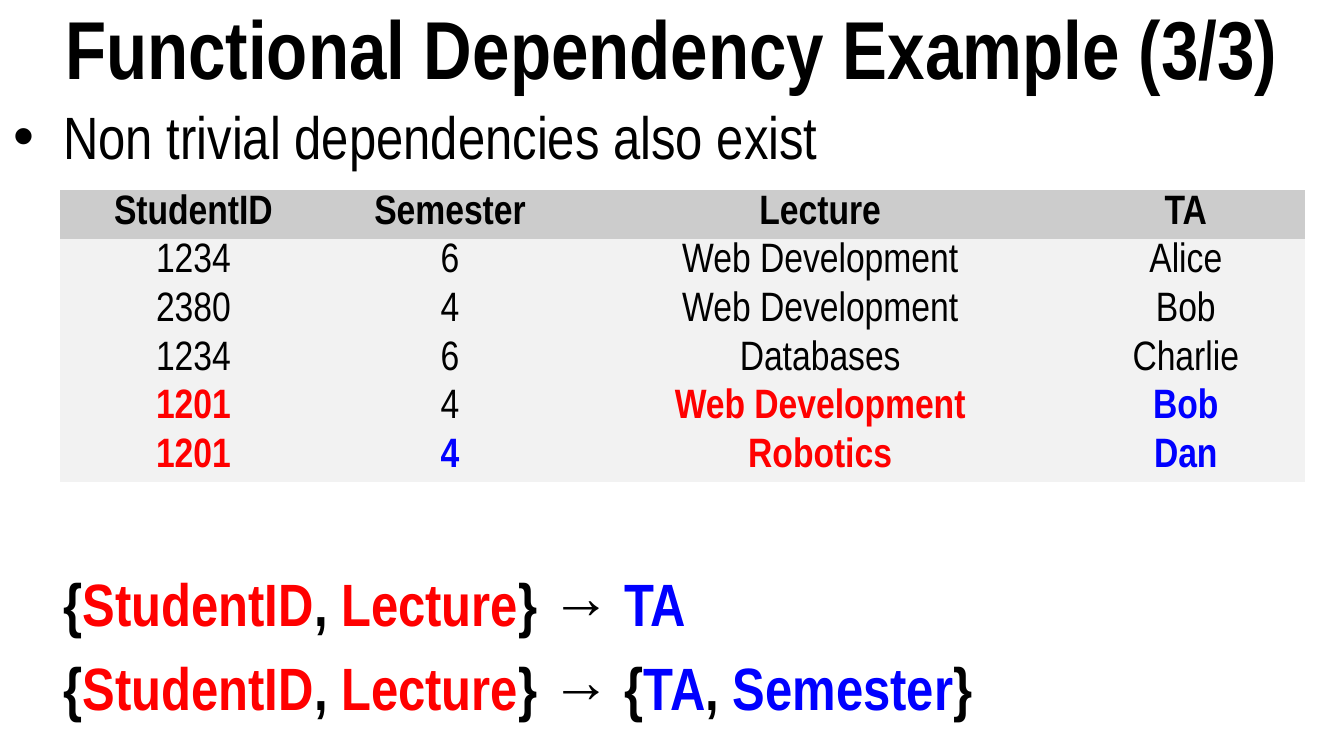
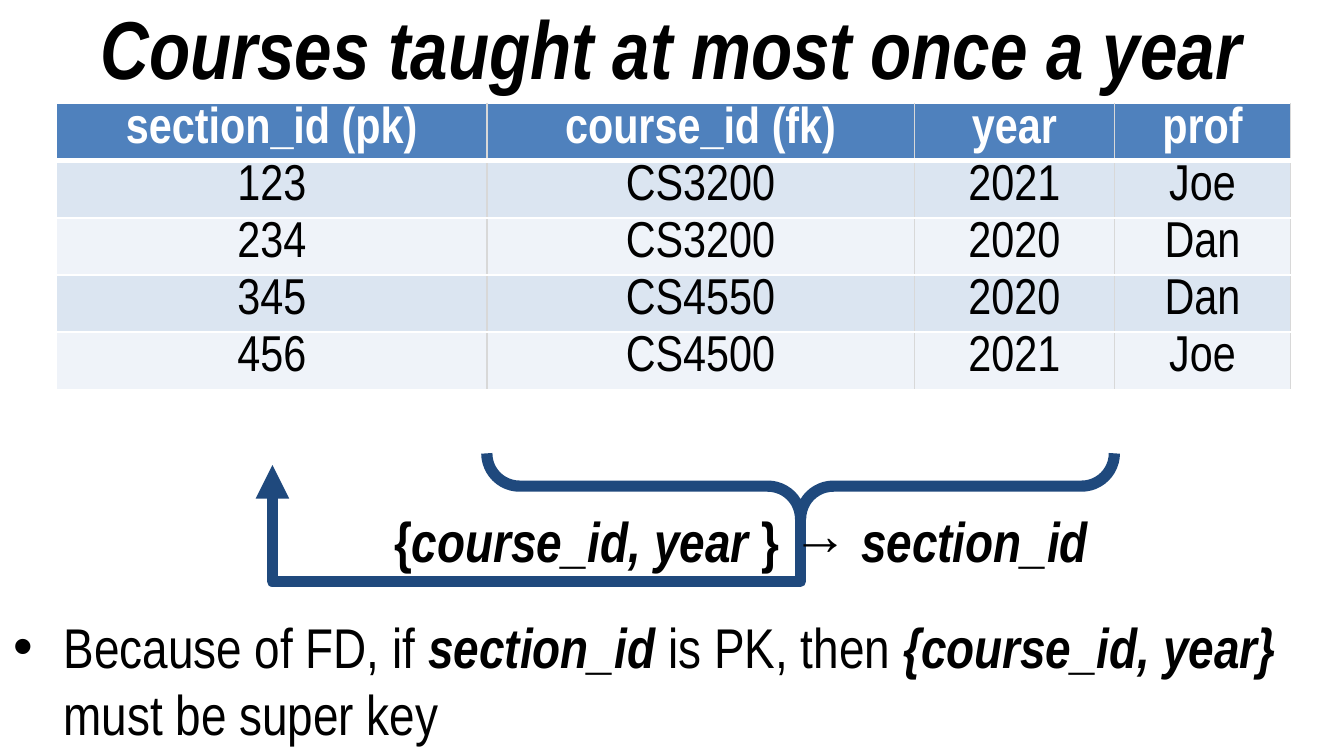
from dataclasses import dataclass

from lxml.etree import SubElement
from pptx import Presentation
from pptx.dml.color import RGBColor
from pptx.enum.shapes import MSO_CONNECTOR, MSO_SHAPE
from pptx.enum.text import MSO_ANCHOR, MSO_AUTO_SIZE, PP_ALIGN
from pptx.oxml.ns import qn
from pptx.util import Cm, Pt

FONT = "Arial Narrow"
BLACK = RGBColor(0x00, 0x00, 0x00)
WHITE = RGBColor(0xFF, 0xFF, 0xFF)
RED = RGBColor(0xFF, 0x00, 0x00)
BLUE = RGBColor(0x00, 0x00, 0xFF)
NAVY = RGBColor(0x1F, 0x49, 0x7D)
HEADER_BLUE = RGBColor(0x4F, 0x81, 0xBD)
BAND_DARK = RGBColor(0xDB, 0xE5, 0xF1)
BAND_LIGHT = RGBColor(0xEF, 0xF3, 0xF9)
HEADER_GREY = RGBColor(0xCC, 0xCC, 0xCC)
BODY_GREY = RGBColor(0xF2, 0xF2, 0xF2)
RULE_GREY = RGBColor(0xD8, 0xD8, 0xD8)

PLAIN_TABLE = "{2D5ABB26-0587-4C30-8999-92F81FD0307C}"
PAGE_WIDTH, PAGE_HEIGHT = 25.4, 14.29
TITLE_HEIGHT = 1.75
INDENT = 0.95
LINE_WIDTH = Pt(6)


@dataclass
class Span:
    text: str
    color: RGBColor = BLACK
    bold: bool = False
    italic: bool = False


@dataclass
class TableStyle:
    size: int
    row_height: float
    margin: float
    line_spacing: float
    anchor: MSO_ANCHOR
    header_color: RGBColor
    header_fill: RGBColor
    bands: tuple
    ruled: bool = False


GREY_TABLE = TableStyle(22, 0.92, 0.08, 0.8, MSO_ANCHOR.MIDDLE,
                        BLACK, HEADER_GREY, (BODY_GREY,))
BLUE_TABLE = TableStyle(27, 1.08, 0.1, 0.9, MSO_ANCHOR.TOP,
                        WHITE, HEADER_BLUE, (BAND_DARK, BAND_LIGHT), ruled=True)


def style_font(font, size, color=BLACK, bold=False, italic=False):
    font.name, font.size = FONT, Pt(size)
    font.bold, font.italic = bold, italic
    font.color.rgb = color


def add_border(cell, side, color, width):
    line = SubElement(cell._tc.get_or_add_tcPr(), qn(f"a:ln{side}"), w=str(Pt(width)))
    fill = SubElement(line, qn("a:solidFill"))
    SubElement(fill, qn("a:srgbClr"), val=str(color))


def rule_cell(cell, row, column):
    add_border(cell, "L", RULE_GREY if column else WHITE, 1)
    add_border(cell, "R", RULE_GREY, 1)
    add_border(cell, "T", WHITE, 3 if row == 1 else 1)
    add_border(cell, "B", WHITE, 1 if row else 3)


class Deck:
    def __init__(self):
        self.deck = Presentation()
        self.deck.slide_width = Cm(PAGE_WIDTH)
        self.deck.slide_height = Cm(PAGE_HEIGHT)
        self.page = None

    def add_page(self, title, italic=False):
        self.page = self.deck.slides.add_slide(self.deck.slide_layouts[5])
        box = self.page.shapes.title
        box.left, box.top = Cm(0), Cm(0)
        box.width, box.height = Cm(PAGE_WIDTH), Cm(TITLE_HEIGHT)
        frame = box.text_frame
        frame.text = title
        frame.auto_size = MSO_AUTO_SIZE.NONE
        frame.vertical_anchor = MSO_ANCHOR.MIDDLE
        para = frame.paragraphs[0]
        para.alignment = PP_ALIGN.CENTER
        style_font(para.font, 44, bold=True, italic=italic)

    def add_text(self, left, top, width, height, margin=0.13):
        box = self.page.shapes.add_textbox(Cm(left), Cm(top), Cm(width), Cm(height))
        frame = box.text_frame
        frame.word_wrap = True
        frame.margin_top = frame.margin_bottom = Cm(margin)
        return frame

    def add_paragraph(self, frame, spans, size, before=0, indent=0, bullet=False):
        first = frame.paragraphs[0]
        para = frame.add_paragraph() if first.runs else first
        para.space_before = Pt(before)
        properties = para._p.get_or_add_pPr()
        properties.set("marL", str(Cm(indent)))
        properties.set("indent", str(-Cm(indent) if bullet else 0))
        if bullet:
            SubElement(properties, qn("a:buFont"), typeface="Arial")
            SubElement(properties, qn("a:buChar"), char="•")
        for span in spans:
            run = para.add_run()
            run.text = span.text
            style_font(run.font, size, span.color, span.bold, span.italic)

    def add_table(self, left, top, widths, rows, style, marks=None):
        """Draw rows under a header; marks maps (row, column) to a bold text colour."""
        marks = marks or {}
        table = self.page.shapes.add_table(
            len(rows), len(widths), Cm(left), Cm(top),
            Cm(sum(widths)), Cm(style.row_height * len(rows))).table
        table._tbl.tblPr.find(qn("a:tableStyleId")).text = PLAIN_TABLE
        for column, width in zip(table.columns, widths):
            column.width = Cm(width)
        for i, values in enumerate(rows):
            table.rows[i].height = Cm(style.row_height)
            for j, value in enumerate(values):
                cell = table.cell(i, j)
                cell.text = value
                cell.vertical_anchor = style.anchor
                cell.margin_top = cell.margin_bottom = Cm(style.margin)
                if style.ruled:
                    rule_cell(cell, i, j)
                cell.fill.solid()
                cell.fill.fore_color.rgb = (
                    style.bands[(i - 1) % len(style.bands)] if i else style.header_fill)
                para = cell.text_frame.paragraphs[0]
                para.alignment = PP_ALIGN.CENTER
                para.line_spacing = style.line_spacing
                color = marks.get((i, j), BLACK) if i else style.header_color
                style_font(para.font, style.size, color, i == 0 or (i, j) in marks)

    def add_brace_below(self, left, top, width, height):
        """Turn a right brace so that its point faces down in the given area."""
        brace = self.page.shapes.add_shape(
            MSO_SHAPE.RIGHT_BRACE, Cm(left + (width - height) / 2),
            Cm(top + (height - width) / 2), Cm(height), Cm(width))
        brace.rotation = 90
        brace.adjustments[0] = brace.adjustments[1] = 0.5
        brace.shadow.inherit = False
        brace.fill.background()
        brace.line.color.rgb, brace.line.width = NAVY, LINE_WIDTH

    def add_return_arrow(self, start, end, drop):
        """Go down by drop from start, left, and up to an arrowhead at end."""
        across, rise = start[0] - end[0], start[1] - end[1]
        middle_x, middle_y = (start[0] + end[0]) / 2, (start[1] + end[1]) / 2
        arrow = self.page.shapes.add_connector(
            MSO_CONNECTOR.ELBOW,
            Cm(middle_x + rise / 2), Cm(middle_y - across / 2),
            Cm(middle_x - rise / 2), Cm(middle_y + across / 2))
        arrow.line.color.rgb, arrow.line.width = NAVY, LINE_WIDTH
        properties = arrow._element.spPr
        properties.find(qn("a:xfrm")).set("rot", str(90 * 60000))
        guides = properties.find(qn("a:prstGeom")).get_or_add_avLst()
        SubElement(guides, qn("a:gd"), name="adj1",
                   fmla=f"val {round(-drop / rise * 100000)}")
        line = properties.find(qn("a:ln"))
        SubElement(line, qn("a:round"))
        SubElement(line, qn("a:tailEnd"), type="triangle")
        SubElement(properties, qn("a:effectLst"))


def add_dependency_page(deck):
    deck.add_page("Functional Dependency Example (3/3)")
    body = deck.add_text(0, TITLE_HEIGHT, PAGE_WIDTH, PAGE_HEIGHT - TITLE_HEIGHT)
    deck.add_paragraph(body, [Span("Non trivial dependencies also exist")], 32,
                       indent=INDENT, bullet=True)
    key = [Span("{", bold=True), Span("StudentID", RED, True), Span(", ", bold=True),
           Span("Lecture", RED, True)]
    assistant = Span("TA", BLUE, True)
    deck.add_paragraph(body, key + [Span("} → ", bold=True), assistant], 32,
                       before=212, indent=INDENT)
    deck.add_paragraph(
        body, key + [Span("} → {", bold=True), assistant, Span(", ", bold=True),
                     Span("Semester", BLUE, True), Span("}", bold=True)],
        32, before=6.4, indent=INDENT)
    rows = [
        ("StudentID", "Semester", "Lecture", "TA"),
        ("1234", "6", "Web Development", "Alice"),
        ("2380", "4", "Web Development", "Bob"),
        ("1234", "6", "Databases", "Charlie"),
        ("1201", "4", "Web Development", "Bob"),
        ("1201", "4", "Robotics", "Dan"),
    ]
    marks = {(4, 0): RED, (4, 2): RED, (4, 3): BLUE,
             (5, 0): RED, (5, 1): BLUE, (5, 2): RED, (5, 3): BLUE}
    deck.add_table(1.14, 3.6, (5.03, 4.67, 9.32, 4.5), rows, GREY_TABLE, marks)


def add_courses_page(deck):
    deck.add_page("Courses taught at most once a year", italic=True)
    rows = [
        ("section_id (pk)", "course_id (fk)", "year", "prof"),
        ("123", "CS3200", "2021", "Joe"),
        ("234", "CS3200", "2020", "Dan"),
        ("345", "CS4550", "2020", "Dan"),
        ("456", "CS4500", "2021", "Joe"),
    ]
    deck.add_table(1.07, 1.96, (8.13, 8.08, 3.78, 3.33), rows, BLUE_TABLE)
    deck.add_brace_below(9.2, 8.57, 11.86, 1.24)
    deck.add_return_arrow((15.13, 9.82), (5.15, 8.79), 1.17)

    formula = deck.add_text(7.2, 9.32, 14.05, 1.8, margin=0.25)
    deck.add_paragraph(
        formula, [Span("{", bold=True), Span("course_id, year ", bold=True, italic=True),
                  Span("} →", bold=True), Span(" section_id", bold=True, italic=True)],
        30, before=6.4)
    body = deck.add_text(0, 11.45, PAGE_WIDTH, 2.2)
    deck.add_paragraph(
        body, [Span("Because of FD, if "), Span("section_id", bold=True, italic=True),
               Span(" is PK, then "), Span("{course_id, year}", bold=True, italic=True),
               Span(" must be super key")],
        30, indent=INDENT, bullet=True)


def main():
    deck = Deck()
    add_dependency_page(deck)
    add_courses_page(deck)
    deck.deck.save("out.pptx")


if __name__ == "__main__":
    main()
